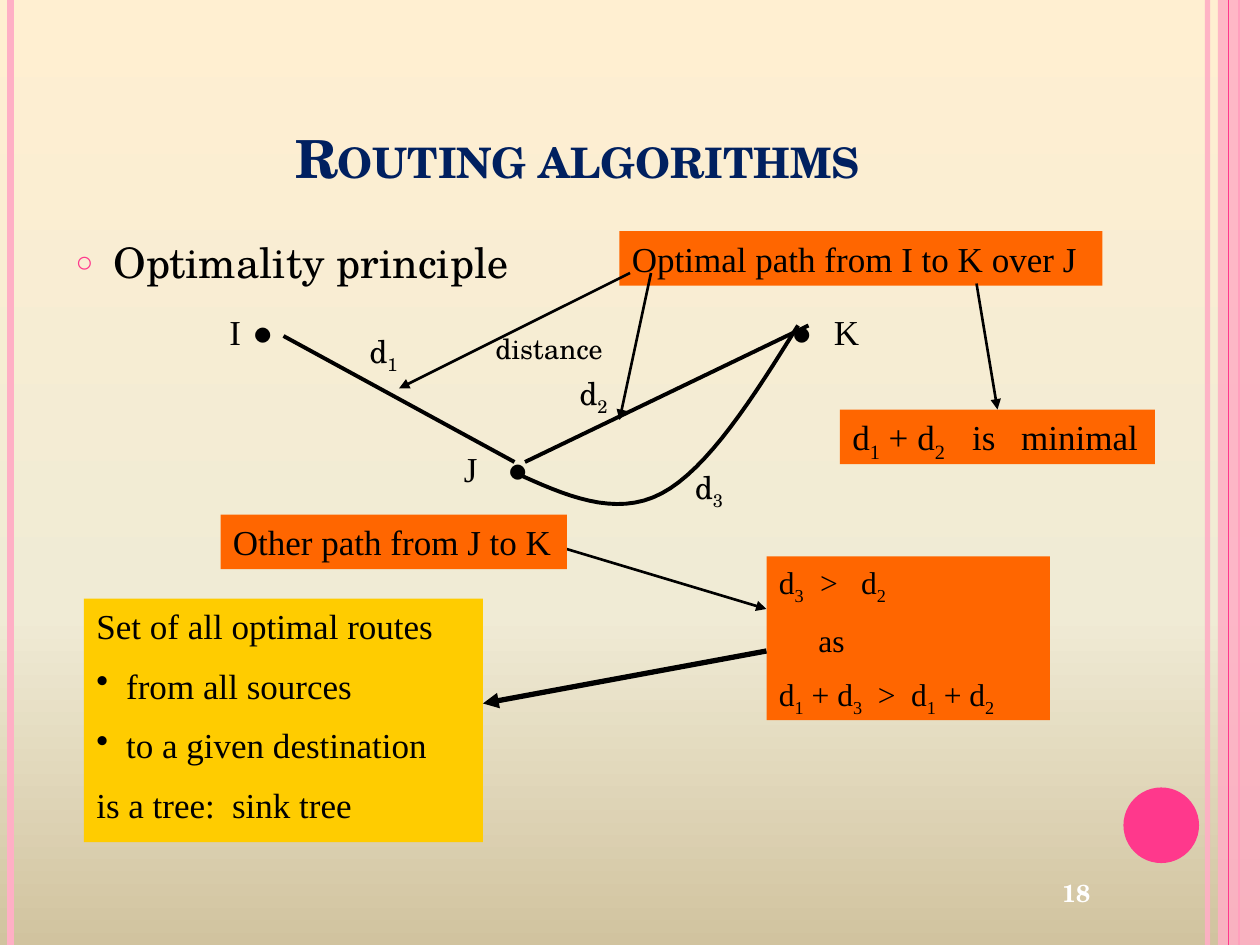
from copy import deepcopy
from dataclasses import dataclass

from lxml.etree import SubElement
from pptx import Presentation
from pptx.dml.color import RGBColor
from pptx.enum.shapes import MSO_CONNECTOR as Connector, MSO_SHAPE as Preset
from pptx.enum.text import MSO_ANCHOR as Anchor, MSO_AUTO_SIZE as AutoSize, PP_ALIGN as Align
from pptx.oxml.ns import qn
from pptx.util import Pt


@dataclass(frozen=True)
class Theme:
    serif: str = "Times New Roman"
    school: str = "TeX Gyre Schola"
    black: str = "000000"
    white: str = "FFFFFF"
    navy: str = "002060"
    orange: str = "FF6600"
    yellow: str = "FFCC00"
    pink: str = "FF388C"
    pale_pink: str = "FFAFC5"
    background: tuple = ((0, "FFEFD1"), (0.65, "F0EBD5"), (1, "D1C39F"))
    title_size: int = 30
    list_size: int = 24
    text_size: int = 20
    small_size: int = 18
    note_size: int = 16
    number_size: int = 14


THEME = Theme()


@dataclass(frozen=True)
class Line:
    text: str
    indent: float = 0
    bullet: str = ""
    tabs: tuple[float, ...] = ()


@dataclass(frozen=True)
class Block:
    lines: tuple[Line, ...]
    left: float
    top: float
    width: float
    height: float
    size: int = THEME.text_size
    font: str = THEME.serif
    fill: str = ""


@dataclass(frozen=True)
class Link:
    start: tuple[float, float]
    end: tuple[float, float]
    width: float = 1.5
    color: str = THEME.black
    arrow: bool = False
    opacity: int = 100


def rgb(value: str) -> RGBColor:
    return RGBColor.from_string(value)


def set_opacity(parent, percent: int) -> None:
    if percent < 100:
        color = next(parent.iter(qn("a:srgbClr")))
        SubElement(color, qn("a:alpha"), val=str(percent * 1000))


def add_run(paragraph, text: str, size: int, font: str, color: str = THEME.black,
            bold: bool = False, subscript: bool = False):
    run = paragraph.add_run()
    run.text = text
    run.font.size = Pt(size)
    run.font.name = font
    run.font.bold = bold
    run.font.color.rgb = rgb(color)
    if subscript:
        run.font._element.set("baseline", "-25000")
    return run


def format_line(paragraph, line: Line) -> None:
    paragraph.alignment = Align.LEFT
    properties = paragraph._p.get_or_add_pPr()
    spacing = SubElement(properties, qn("a:spcBef"))
    SubElement(spacing, qn("a:spcPct"), val="50000")
    properties.set("marL", str(Pt(line.indent)))
    if line.bullet:
        properties.set("indent", str(-Pt(line.indent)))
        SubElement(properties, qn("a:buChar"), char=line.bullet)
    if line.tabs:
        stops = SubElement(properties, qn("a:tabLst"))
        for position in line.tabs:
            SubElement(stops, qn("a:tab"), pos=str(Pt(position)), algn="l")


def draw_block(slide, block: Block) -> None:
    frame = [Pt(value) for value in (block.left, block.top, block.width, block.height)]
    if block.fill:
        shape = slide.shapes.add_shape(Preset.RECTANGLE, *frame)
        shape.shadow.inherit = False
        shape.fill.solid()
        shape.fill.fore_color.rgb = rgb(block.fill)
        shape.line.fill.background()
    else:
        shape = slide.shapes.add_textbox(*frame)
    text_frame = shape.text_frame
    text_frame.word_wrap = True
    text_frame.auto_size = AutoSize.SHAPE_TO_FIT_TEXT
    text_frame.vertical_anchor = Anchor.TOP
    for index, line in enumerate(block.lines):
        paragraph = text_frame.add_paragraph() if index else text_frame.paragraphs[0]
        format_line(paragraph, line)
        for part, text in enumerate(line.text.split("~")):
            if text:
                add_run(paragraph, text, block.size, block.font, subscript=part % 2 == 1)


def draw_link(slide, link: Link) -> None:
    ends = [Pt(value) for value in link.start + link.end]
    connector = slide.shapes.add_connector(Connector.STRAIGHT, *ends)
    connector.line.width = Pt(link.width)
    connector.line.color.rgb = rgb(link.color)
    properties = connector._element.spPr
    outline = properties.find(qn("a:ln"))
    set_opacity(outline, link.opacity)
    if link.arrow:
        SubElement(outline, qn("a:tailEnd"), type="triangle")
    SubElement(properties, qn("a:effectLst"))


def draw_plain(slide, preset, left: float, top: float, width: float, height: float,
               color: str, opacity: int = 100) -> None:
    shape = slide.shapes.add_shape(preset, Pt(left), Pt(top), Pt(width), Pt(height))
    shape.shadow.inherit = False
    shape.fill.solid()
    shape.fill.fore_color.rgb = rgb(color)
    set_opacity(shape._element.spPr, opacity)
    shape.line.fill.background()


def draw_curve(slide, start: tuple, segments: tuple, steps: int = 16) -> None:
    points, origin = [], start
    for first, second, end in segments:
        for step in range(1, steps + 1):
            t = step / steps
            weights = ((1 - t) ** 3, 3 * t * (1 - t) ** 2, 3 * t * t * (1 - t), t ** 3)
            controls = (origin, first, second, end)
            points.append(tuple(Pt(sum(w * c[axis] for w, c in zip(weights, controls)))
                                for axis in (0, 1)))
        origin = end
    builder = slide.shapes.build_freeform(Pt(start[0]), Pt(start[1]))
    builder.add_line_segments(points, close=False)
    shape = builder.convert_to_shape()
    shape.shadow.inherit = False
    shape.fill.background()
    shape.line.color.rgb = rgb(THEME.black)
    shape.line.width = Pt(2.25)


def paint_background(slide) -> None:
    fill = slide.background.fill
    fill.gradient()
    fill.gradient_angle = 270
    stops = slide.element.find(".//" + qn("a:gsLst"))
    stops.append(deepcopy(stops[0]))
    for stop, (position, color) in zip(fill.gradient_stops, THEME.background):
        stop.position = position
        stop.color.rgb = rgb(color)


def place(shape, left: float, top: float, width: float, height: float) -> None:
    shape.left, shape.top, shape.width, shape.height = map(Pt, (left, top, width, height))


def fill_placeholders(slide) -> None:
    title, body = slide.shapes.title, slide.placeholders[1]
    place(title, 36, 21.6, 588, 90)
    title.text_frame.auto_size = AutoSize.NONE
    title.text_frame.vertical_anchor = Anchor.BOTTOM
    paragraph = title.text_frame.paragraphs[0]
    paragraph.alignment = Align.CENTER
    run = add_run(paragraph, "Routing algorithms", THEME.title_size, THEME.school, THEME.navy, True)
    run.font._element.set("cap", "small")

    place(body, 36, 126, 588, 384)
    body.text_frame.auto_size = AutoSize.NONE
    paragraph = body.text_frame.paragraphs[0]
    paragraph.line_spacing = 1.2
    paragraph.space_before = Pt(6)
    properties = paragraph._p.get_or_add_pPr()
    properties.set("marL", str(Pt(21.6)))
    properties.set("indent", str(-Pt(21.6)))
    SubElement(SubElement(properties, qn("a:buClr")), qn("a:srgbClr"), val=THEME.pink)
    SubElement(properties, qn("a:buSzPct"), val="70000")
    SubElement(properties, qn("a:buChar"), char="○")
    add_run(paragraph, "Optimality principle", THEME.list_size, THEME.school)


def label(text: str, left: float, top: float, width: float = 42,
          size: int = THEME.small_size, font: str = THEME.school) -> Block:
    return Block((Line(text),), left, top, width, size * 1.2 + 7.2, size, font)


def edge(x: float, width: float, color: str, opacity: int = 100) -> Link:
    return Link((x, 0), (x, 540), width, color, opacity=opacity)


BLOCKS = (
    Block((Line("d~3~\t>\td~2~", tabs=(23.5, 47)), Line("as", indent=22.5),
           Line("d~1~ + d~3~\t>\td~1~ + d~2~", tabs=(56.5, 75.5))),
          438, 318, 162, 93.6, THEME.small_size, fill=THEME.orange),
    Block((Line("Optimal path from I to K over J"),), 354, 132, 276, 31.2, fill=THEME.orange),
    Block((Line("d~1~ + d~2~\tis\tminimal", tabs=(68.5, 96.5)),),
          480, 234, 180, 31.2, fill=THEME.orange),
    Block((Line("Other path from J to K"),), 126, 294, 198, 31.2, fill=THEME.orange),
    Block((Line("Set of all optimal routes"), Line("from all sources", 17, "•"),
           Line("to a given destination", 17, "•"), Line("is a tree:\tsink tree", tabs=(77.5,))),
          48, 342, 228, 139.2, fill=THEME.yellow),
    *(label(name, left, top, 36, THEME.text_size)
      for name, left, top in (("●", 136, 174), ("●", 444, 174), ("●", 282, 252))),
    *(label(name, left, top, 36, THEME.text_size, THEME.serif)
      for name, left, top in (("I", 124, 174), ("K", 469.5, 174), ("J", 258, 252))),
    label("d~1~", 204, 186), label("d~2~", 324, 210), label("d~3~", 390, 264),
    label("distance", 276, 186, 102, THEME.note_size),
)
EDGES = (edge(690, 3, THEME.pale_pink, 93), edge(6, 4.5, THEME.pale_pink), edge(708, 1.5, THEME.pink))
LINKS = (
    Link((162, 192), (294, 264), 2.25),
    Link((300, 264), (462, 186), 2.25),
    Link((360, 156), (228, 222), arrow=True),
    Link((372, 156), (354, 240), arrow=True),
    Link((558, 162), (570, 234), arrow=True),
    Link((438, 372), (276, 402), 3, arrow=True),
)

presentation = Presentation()
presentation.slide_width, presentation.slide_height = Pt(720), Pt(540)
slide = presentation.slides.add_slide(presentation.slide_layouts[1])
paint_background(slide)
fill_placeholders(slide)
for link in EDGES:
    draw_link(slide, link)
draw_plain(slide, Preset.RECTANGLE, 696, 0, 24, 540, THEME.pale_pink, 87)
draw_link(slide, edge(702, 0.75, THEME.pink))
draw_plain(slide, Preset.OVAL, 642, 450, 43.2, 43.2, THEME.pink)
draw_link(slide, Link((318, 312), (438, 348), arrow=True))
for block in BLOCKS:
    draw_block(slide, block)
for link in LINKS:
    draw_link(slide, link)
draw_curve(slide, (294, 270), (((322.5, 283), (351.5, 296), (378, 282)),
                               ((404.5, 268), (430.5, 227), (456, 186))))
number = slide.shapes.add_textbox(Pt(564), Pt(492), Pt(102), Pt(36)).text_frame
number.word_wrap = True
number.vertical_anchor = Anchor.MIDDLE
number.paragraphs[0].alignment = Align.CENTER
add_run(number.paragraphs[0], "18", THEME.number_size, THEME.school, THEME.white, True)
presentation.save("out.pptx")
